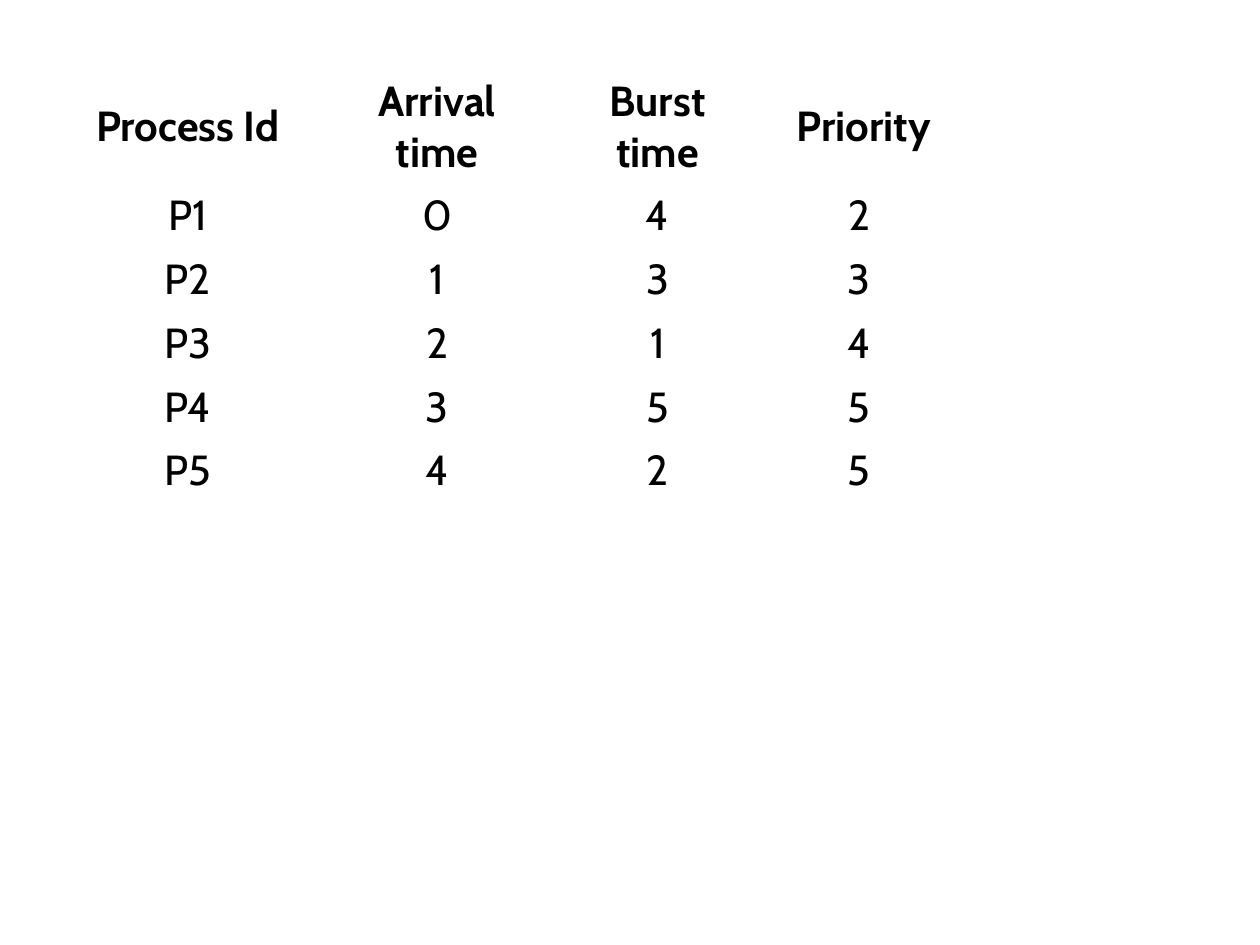
import dataclasses

import pptx
import pptx.dml.color
import pptx.enum.text
import pptx.table
import pptx.util

Inches = pptx.util.Inches


@dataclasses.dataclass(frozen=True)
class Column:
    heading: str
    width: float
    values: tuple[str, ...]


COLUMNS = (
    Column("Process Id", 2.14, ("P1", "P2", "P3", "P4", "P5")),
    Column("Arrival time", 1.82, ("0", "1", "2", "3", "4")),
    Column("Burst time", 1.68, ("4", "3", "1", "5", "2")),
    Column("\N{NO-BREAK SPACE}Priority", 1.52, ("2", "3", "4", "5", "5")),
)
LEFT, TOP = 0.42, 0.55
HEADER_HEIGHT, ROW_HEIGHT = 0.85, 0.47
SIDE_MARGIN = 0.15  # keeps the two-word headings on two lines


def color(value: str) -> pptx.dml.color.RGBColor:
    return pptx.dml.color.RGBColor.from_string(value)


def fill_cell(cell: pptx.table._Cell, text: str, bold: bool) -> None:
    cell.text = text
    cell.fill.background()
    cell.vertical_anchor = pptx.enum.text.MSO_ANCHOR.MIDDLE
    cell.margin_left = cell.margin_right = Inches(SIDE_MARGIN)
    paragraph = cell.text_frame.paragraphs[0]
    paragraph.alignment = pptx.enum.text.PP_ALIGN.CENTER
    paragraph.font.name = "Cabin"
    paragraph.font.size = pptx.util.Pt(24)
    paragraph.font.bold = bold
    paragraph.font.color.rgb = color("000000")


def main() -> None:
    deck = pptx.Presentation()
    deck.slide_width, deck.slide_height = Inches(10), Inches(7.5)
    page = deck.slides.add_slide(deck.slide_layouts[6])

    # Process table, without header or banding style
    row_count = 1 + len(COLUMNS[0].values)
    width = sum(column.width for column in COLUMNS)
    height = HEADER_HEIGHT + ROW_HEIGHT * (row_count - 1)
    table = page.shapes.add_table(
        row_count, len(COLUMNS),
        Inches(LEFT), Inches(TOP), Inches(width), Inches(height),
    ).table
    table.first_row = table.horz_banding = False

    # Row heights
    for index, row in enumerate(table.rows):
        row.height = Inches(ROW_HEIGHT if index else HEADER_HEIGHT)

    # Columns: heading, then values
    for column_index, column in enumerate(COLUMNS):
        table.columns[column_index].width = Inches(column.width)
        for row_index, text in enumerate((column.heading, *column.values)):
            fill_cell(table.cell(row_index, column_index), text, bold=row_index == 0)

    deck.save("out.pptx")


if __name__ == "__main__":
    main()
